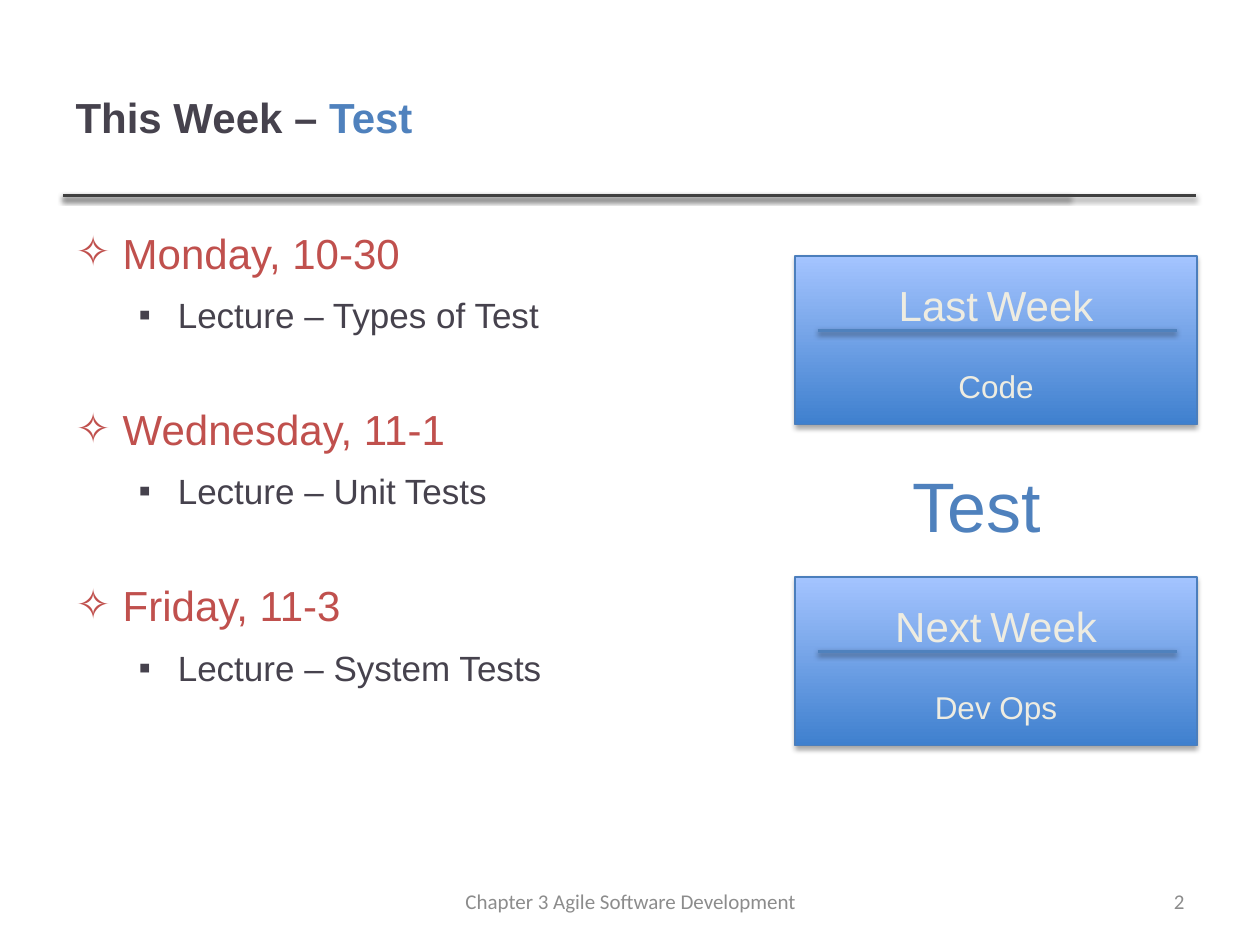
"""Build the weekly schedule slide for the testing lectures."""
from dataclasses import dataclass

from lxml.etree import SubElement
from pptx import Presentation
from pptx.dml.color import RGBColor
from pptx.enum.shapes import MSO_CONNECTOR, MSO_SHAPE
from pptx.enum.text import MSO_ANCHOR, MSO_AUTO_SIZE, PP_ALIGN
from pptx.oxml.ns import qn
from pptx.util import Cm, Pt


@dataclass(frozen=True)
class Theme:
    font: str = "Arial"
    footer_font: str = "Calibri"
    dark: str = "46424D"
    accent: str = "4F81BD"
    day: str = "C0504D"
    rule: str = "404040"
    footer: str = "8C8C8C"
    card_text: str = "EEECE1"
    card_line: str = "4B7EBC"
    card_bottom: str = "3F80CE"
    card_top: str = "A4C4FF"
    huge: int = 40
    heading: int = 24
    lecture: int = 20
    card_body: int = 18
    small: int = 12


theme = Theme()


def add_run(paragraph, text, size, color, font=theme.font, bold=False):
    run = paragraph.add_run()
    run.text = text
    run.font.size = Pt(size)
    run.font.name = font
    run.font.bold = bold
    run.font.color.rgb = RGBColor.from_string(color)


def add_shadow(shape, opacity, distance):
    properties = shape._element.spPr
    for effects in properties.findall(qn("a:effectLst")):
        properties.remove(effects)
    effects = SubElement(properties, qn("a:effectLst"))
    shadow = SubElement(effects, qn("a:outerShdw"), blurRad=str(Pt(3.1)),
                        dist=str(Pt(distance)), dir="5400000", rotWithShape="0")
    color = SubElement(shadow, qn("a:srgbClr"), val="000000")
    SubElement(color, qn("a:alpha"), val=str(opacity * 1000))


presentation = Presentation()
presentation.slide_width, presentation.slide_height = Cm(25.4), Cm(19.05)
slide = presentation.slides.add_slide(presentation.slide_layouts[1])
title, body = slide.placeholders

title.left, title.top, title.width, title.height = Cm(1.27), Cm(0.76), Cm(20.27), Cm(3.18)
title.text_frame.vertical_anchor = MSO_ANCHOR.MIDDLE
title_paragraph = title.text_frame.paragraphs[0]
title_paragraph.alignment = PP_ALIGN.LEFT
add_run(title_paragraph, "This Week – ", theme.heading, theme.dark, bold=True)
add_run(title_paragraph, "Test", theme.heading, theme.accent, bold=True)

body.left, body.top, body.width, body.height = Cm(1.27), Cm(4.45), Cm(12.47), Cm(12.57)
body.text_frame.auto_size = MSO_AUTO_SIZE.NONE
schedule = [
    ("Monday, 10-30", "Lecture – Types of Test"),
    ("Wednesday, 11-1", "Lecture – Unit Tests"),
    ("Friday, 11-3", "Lecture – System Tests"),
]
for index, (day, lecture) in enumerate(schedule):
    day_gap = 36 if index else 6
    levels = [
        (day, theme.heading, theme.day, "✧", 0.95, 0.95, day_gap, 6),
        (lecture, theme.lecture, theme.dark, "▪", 2.06, 0.79, 3, 3),
    ]
    for level, (text, size, color, bullet, margin, hanging, before, after) in enumerate(levels):
        first = index == 0 and level == 0
        paragraph = body.text_frame.paragraphs[0] if first else body.text_frame.add_paragraph()
        paragraph.level = level
        paragraph.space_before, paragraph.space_after = Pt(before), Pt(after)
        add_run(paragraph, text, size, color)
        properties = paragraph._p.get_or_add_pPr()
        properties.set("marL", str(Cm(margin)))
        properties.set("indent", str(-Cm(hanging)))
        SubElement(properties, qn("a:buFont"), typeface=theme.font)
        SubElement(properties, qn("a:buChar"), char=bullet)

rules = [(slide.shapes, 1.27, end, 3.94, theme.rule) for end in (21.56, 24.1)]

cards = [("Last", "Code", 5.16), ("Next", "Dev Ops", 11.63)]
for week, topic, top in cards:
    group = slide.shapes.add_group_shape()
    card = group.shapes.add_shape(MSO_SHAPE.RECTANGLE, Cm(16.03), Cm(top), Cm(8.1), Cm(3.4))
    card.fill.gradient()
    card.fill.gradient_angle = 90
    for stop, color in zip(card.fill.gradient_stops, (theme.card_bottom, theme.card_top)):
        stop.color.rgb = RGBColor.from_string(color)
    card.line.color.rgb = RGBColor.from_string(theme.card_line)
    card.line.width = Pt(0.75)
    add_shadow(card, 35, 1.8)

    label = group.shapes.add_textbox(Cm(16.03), Cm(top + 0.36), Cm(8.1), Cm(2.82))
    label.text_frame.word_wrap = True
    heading = label.text_frame.paragraphs[0]
    for text, size in ((week, theme.heading), (" ", theme.card_body), ("Week", theme.heading)):
        add_run(heading, text, size, theme.card_text)
    detail = label.text_frame.add_paragraph()
    detail.space_before = Pt(21)
    add_run(detail, topic, theme.card_body, theme.card_text)
    heading.alignment = detail.alignment = PP_ALIGN.CENTER
    rules.append((group.shapes, 16.48, 23.72, top + 1.5, theme.accent))

for shapes, start, end, height, color in rules:
    rule = shapes.add_connector(MSO_CONNECTOR.STRAIGHT, Cm(start), Cm(height), Cm(end), Cm(height))
    rule.line.color.rgb = RGBColor.from_string(color)
    rule.line.width = Pt(2)
    add_shadow(rule, 38, 1.6)

captions = [
    ("Test", 18.14, 9.19, 3.12, 1.96, PP_ALIGN.LEFT, theme.huge, theme.accent, theme.font),
    ("Chapter 3 Agile Software Development", 8.69, 17.65, 8.05, 1.02,
     PP_ALIGN.CENTER, theme.small, theme.footer, theme.footer_font),
    ("2", 18.21, 17.65, 5.92, 1.02,
     PP_ALIGN.RIGHT, theme.small, theme.footer, theme.footer_font),
]
for text, left, top, width, height, alignment, size, color, font in captions:
    caption = slide.shapes.add_textbox(Cm(left), Cm(top), Cm(width), Cm(height))
    caption.text_frame.word_wrap = size != theme.huge
    caption.text_frame.vertical_anchor = MSO_ANCHOR.MIDDLE
    paragraph = caption.text_frame.paragraphs[0]
    paragraph.alignment = alignment
    add_run(paragraph, text, size, color, font)

presentation.save("out.pptx")
